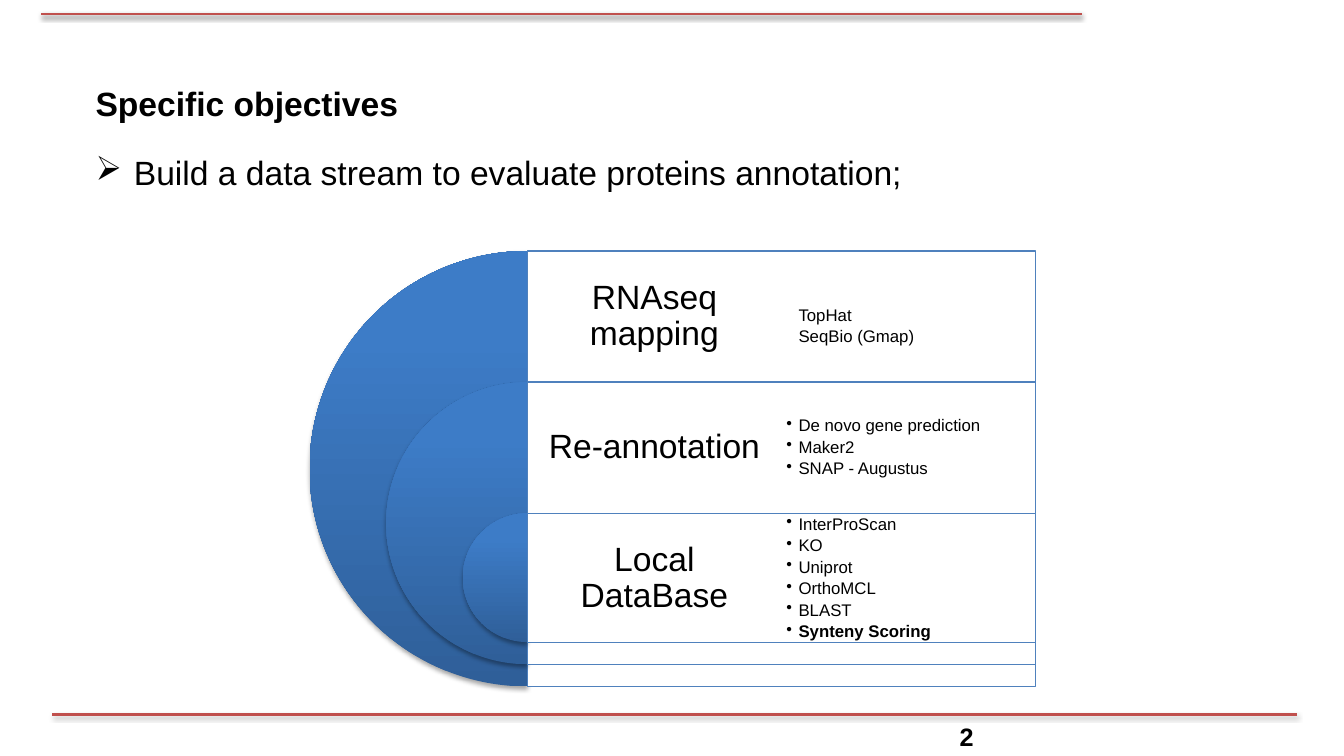
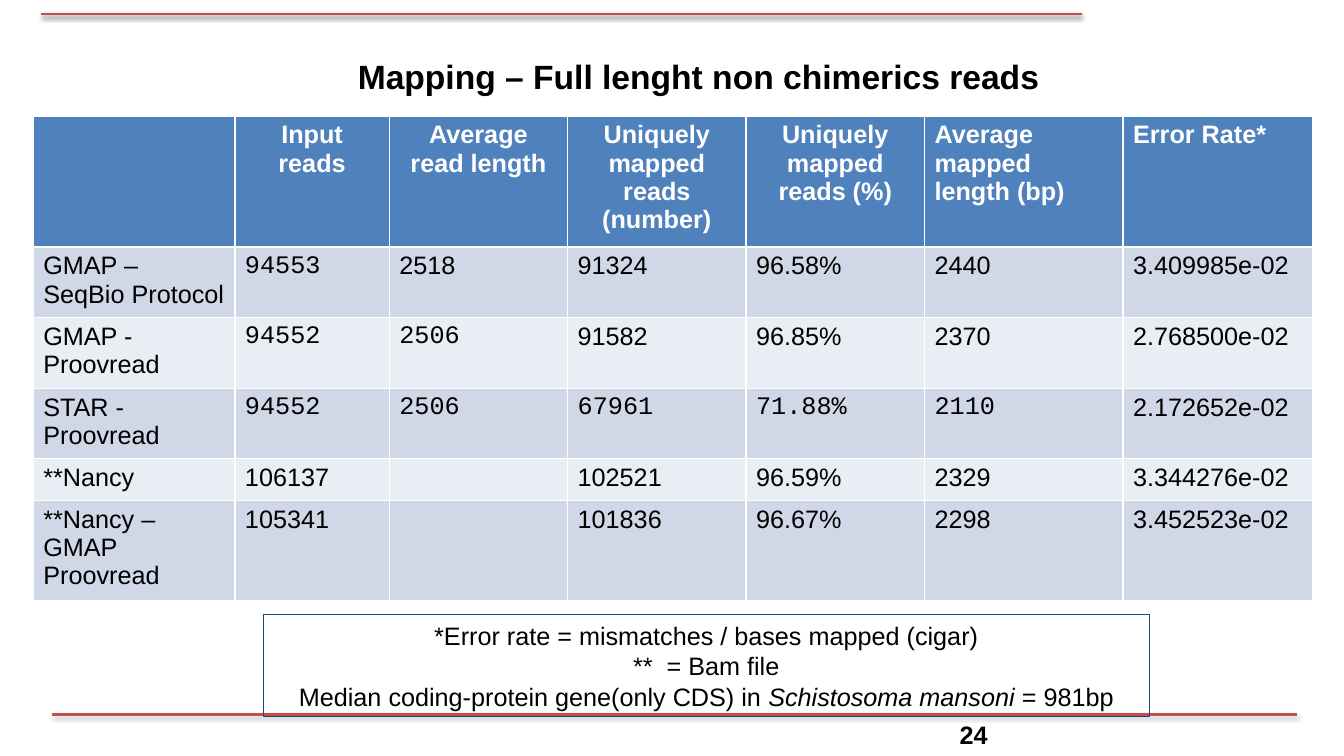
from pptx import Presentation
from pptx.dml.color import RGBColor
from pptx.enum.shapes import MSO_CONNECTOR, MSO_SHAPE
from pptx.enum.text import MSO_ANCHOR, PP_ALIGN
from pptx.oxml import parse_xml
from pptx.oxml.ns import nsdecls
from pptx.util import Pt

STRAIGHT = MSO_CONNECTOR.STRAIGHT
RECTANGLE, PIE = MSO_SHAPE.RECTANGLE, MSO_SHAPE.PIE
TOP, MIDDLE = MSO_ANCHOR.TOP, MSO_ANCHOR.MIDDLE
LEFT, CENTER, JUSTIFY = PP_ALIGN.LEFT, PP_ALIGN.CENTER, PP_ALIGN.JUSTIFY

PX = 9144  # 100 px to the inch
SANS, MONO = "Arial", "Courier New"
COLORS = {name: RGBColor.from_string(value) for name, value in {
    "text": "000000",
    "white": "FFFFFF",
    "rule": "C0504D",
    "accent": "4F81BD",
    "pie_dark": "2F5F99",
    "pie_light": "3D7CC7",
    "note_line": "1F497D",
    "band_dark": "D0D8E8",
    "band_light": "E9EDF4",
}.items()}

SHADOW = (
    "<a:effectLst %s><a:outerShdw blurRad='40000' dist='{distance}' dir='5400000' rotWithShape='0'>"
    "<a:srgbClr val='000000'><a:alpha val='{alpha}'/></a:srgbClr>"
    "</a:outerShdw></a:effectLst>" % nsdecls("a"))
BULLET = "<a:buChar %s char='{char}'/>" % nsdecls("a")


def add_box(page, left, top, width, height, anchor=TOP, inset=None):
    """Add a wrapping text box, measured in px, and return its text frame."""
    frame = page.shapes.add_textbox(left * PX, top * PX, width * PX, height * PX).text_frame
    frame.word_wrap = True
    frame.vertical_anchor = anchor
    if inset is not None:
        frame.margin_left = frame.margin_right = inset * PX
        frame.margin_top = frame.margin_bottom = inset * PX
    return frame


def add_span(para, text, size, bold=False, italic=False, color="text", font=SANS):
    span = para.add_run()
    span.text = text
    span.font.name = font
    span.font.size = Pt(size)
    span.font.bold = bold
    span.font.italic = italic
    span.font.color.rgb = COLORS[color]


deck = Presentation()
deck.slide_width, deck.slide_height = 1333 * PX, 750 * PX

# Shared by both slides: the two rules and the page number
pages = []
for number, number_top in (("2", 711), ("24", 709)):
    page = deck.slides.add_slide(deck.slide_layouts[6])
    for start, end, y in ((41, 1073, 14), (52, 1286, 709)):
        rule = page.shapes.add_connector(STRAIGHT, start * PX, y * PX, end * PX, y * PX)
        rule.line.color.rgb = COLORS["rule"]
        rule.line.width = Pt(2)
        rule._element.spPr.append(parse_xml(SHADOW.format(alpha=38000, distance=20000)))
    frame = add_box(page, 942, number_top, 300, 40, MIDDLE)
    add_span(frame.paragraphs[0], number, 18, bold=True)
    pages.append(page)
objectives, mapping = pages

# Slide 1: objectives
frame = add_box(objectives, 85, 77, 1124, 121)
add_span(frame.paragraphs[0], "Specific objectives", 24, bold=True)
para = frame.add_paragraph()
props = para._p.get_or_add_pPr()
props.set("marL", str(38 * PX))
props.set("indent", str(-38 * PX))
props.append(parse_xml(BULLET.format(char="➢")))
para.alignment = JUSTIFY
para.space_before = Pt(21)
add_span(para, "Build a data stream to evaluate proteins annotation;", 24)

# Nested half discs, each with a panel holding a label and a list of tools
PIE_CENTER, STACK_TOP, STACK_SIZE = 523, 249, 432
ROW, RIM, COLUMN = 130, 22, 252
TOOL_INDENT = 12
steps = [
    ("RNAseq mapping", False, 20, ["TopHat", "SeqBio (Gmap)"]),
    ("Re-annotation", True, 0, ["De novo gene prediction", "Maker2", "SNAP - Augustus"]),
    ("Local DataBase", True, 0,
     ["InterProScan", "KO", "Uniprot", "OrthoMCL", "BLAST", "Synteny Scoring"]),
]
for index, (label, bulleted, lead, tools) in enumerate(steps):
    top = STACK_TOP + index * ROW
    size = STACK_SIZE - index * (ROW + RIM)

    pie = objectives.shapes.add_shape(
        PIE, (PIE_CENTER - size // 2) * PX, top * PX, size * PX, size * PX)
    pie.adjustments[0], pie.adjustments[1] = 54, 162
    pie.fill.gradient()
    pie.fill.gradient_angle = 90
    dark, light = pie.fill.gradient_stops
    dark.color.rgb, dark.position = COLORS["pie_dark"], 0
    light.color.rgb, light.position = COLORS["pie_light"], 0.8
    pie.line.fill.background()
    pie._element.spPr.append(parse_xml(SHADOW.format(alpha=35000, distance=23000)))

    panel = objectives.shapes.add_shape(
        RECTANGLE, PIE_CENTER * PX, top * PX, 2 * COLUMN * PX, size * PX)
    panel.shadow.inherit = False
    panel.fill.solid()
    panel.fill.fore_color.rgb = COLORS["white"]
    panel.line.color.rgb = COLORS["accent"]
    panel.line.width = Pt(0.75)

    para = add_box(objectives, PIE_CENTER, top, COLUMN, ROW, MIDDLE, 10).paragraphs[0]
    para.alignment = CENTER
    para.line_spacing = 0.9
    add_span(para, label, 24)

    frame = add_box(objectives, PIE_CENTER + COLUMN, top, COLUMN, ROW, MIDDLE, 5)
    frame.margin_top = (5 + lead) * PX
    for position, tool in enumerate(tools):
        para = frame.add_paragraph() if position else frame.paragraphs[0]
        props = para._p.get_or_add_pPr()
        props.set("marL", str(TOOL_INDENT * PX))
        if bulleted:
            props.set("indent", str(-TOOL_INDENT * PX))
            props.append(parse_xml(BULLET.format(char="•")))
        para.line_spacing = 0.9
        para.space_after = Pt(2.4)
        add_span(para, tool, 12, bold=tool == "Synteny Scoring")

# Slide 2: mapping results
frame = add_box(mapping, 345, 51, 711, 50)
add_span(frame.paragraphs[0], "Mapping – Full lenght non chimerics reads", 24, bold=True)

widths = [200, 153, 177, 177, 177, 197, 188]
heights = [130, 70, 70, 70, 41, 100]
centered_heads = range(1, 5)
mono_ends = [0, 2, 3, 6, 0, 0]  # per row, the column where Courier figures stop
rows = [
    ["", "Input reads", "Average read length", "Uniquely mapped reads (number)",
     "Uniquely mapped reads (%)", "Average mapped length (bp)", "Error Rate*"],
    ["GMAP – SeqBio Protocol", "94553", "2518", "91324", "96.58%", "2440", "3.409985e-02"],
    ["GMAP - Proovread", "94552", "2506", "91582", "96.85%", "2370", "2.768500e-02"],
    ["STAR - Proovread", "94552", "2506", "67961", "71.88%", "2110", "2.172652e-02"],
    ["**Nancy", "106137", "", "102521", "96.59%", "2329", "3.344276e-02"],
    ["**Nancy – GMAP Proovread", "105341", "", "101836", "96.67%", "2298", "3.452523e-02"],
]
table = mapping.shapes.add_table(
    len(rows), len(widths), 33 * PX, 115 * PX, sum(widths) * PX, sum(heights) * PX).table
for column, width in zip(table.columns, widths):
    column.width = width * PX
for r, (values, height) in enumerate(zip(rows, heights)):
    table.rows[r].height = height * PX
    header = r == 0
    fill = "accent" if header else "band_dark" if r % 2 else "band_light"
    for c, value in enumerate(values):
        cell = table.cell(r, c)
        cell.fill.solid()
        cell.fill.fore_color.rgb = COLORS[fill]
        if value:
            para = cell.text_frame.paragraphs[0]
            para.alignment = CENTER if header and c in centered_heads else LEFT
            add_span(para, value, 18, bold=header, color="white" if header else "text",
                     font=MONO if 1 <= c < mono_ends[r] else SANS)

note = mapping.shapes.add_shape(RECTANGLE, 261 * PX, 610 * PX, 879 * PX, 101 * PX)
note.shadow.inherit = False
note.fill.background()
note.line.color.rgb = COLORS["note_line"]
note.line.width = Pt(0.75)
note_lines = [
    [("*Error rate = mismatches / bases mapped (cigar)", False)],
    [("**  = Bam file", False)],
    [("Median coding-protein gene(only CDS) in ", False),
     ("Schistosoma mansoni ", True), ("= 981bp", False)],
]
for index, spans in enumerate(note_lines):
    para = note.text_frame.add_paragraph() if index else note.text_frame.paragraphs[0]
    para.alignment = CENTER
    for text, italic in spans:
        add_span(para, text, 18, italic=italic)

deck.save("out.pptx")
